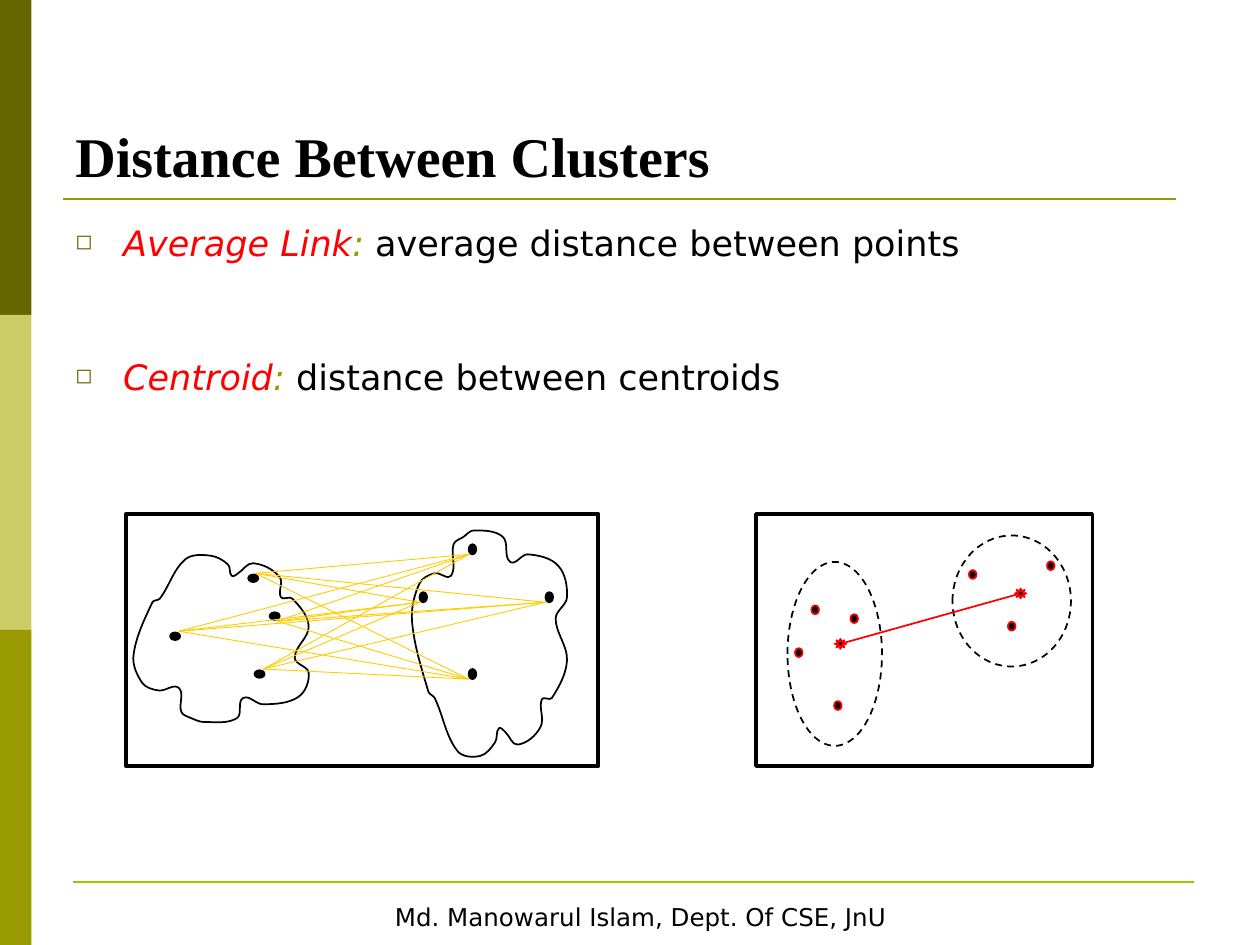
import itertools
import math

import pptx
import pptx.dml.color
import pptx.enum.dml
import pptx.enum.shapes
import pptx.enum.text
import pptx.oxml
import pptx.oxml.ns
import pptx.util
from pptx.util import Inches

SHAPE = pptx.enum.shapes.MSO_SHAPE
ANCHOR = pptx.enum.text.MSO_ANCHOR
qn = pptx.oxml.ns.qn
COLORS = {
    "black": "000000", "white": "FFFFFF", "red": "FF0000", "yellow": "FFCC00",
    "dark olive": "666600", "pale olive": "CCCC66", "olive": "999900",
    "green": "96C800",
}

# Knots that each cluster outline passes through, in hundredths of an inch.
LEFT_KNOTS = [
    (121, 478), (106, 520), (113, 542), (126, 548), (142, 546), (144, 565),
    (152, 570), (162, 573), (188, 570), (193, 554), (209, 559), (237, 553),
    (245, 534), (234, 522), (245, 497), (232, 475), (223, 474), (222, 458),
    (201, 447), (189, 455), (184, 457), (181, 448), (167, 441), (147, 444), (127, 475),
]
RIGHT_KNOTS = [
    (340, 549), (327, 493), (333, 463), (345, 455), (358, 457), (360, 432),
    (368, 426), (376, 421), (399, 426), (405, 446), (419, 440), (443, 449),
    (450, 474), (441, 491), (450, 524), (438, 554), (430, 555), (429, 577),
    (411, 591), (401, 581), (396, 578), (393, 589), (381, 600), (363, 596), (345, 554),
]


def rgb(color):
    return pptx.dml.color.RGBColor.from_string(COLORS[color])


def style(shape, fill=None, line=None, width=1.0):
    shape.shadow.inherit = False
    if fill:
        shape.fill.solid()
        shape.fill.fore_color.rgb = rgb(fill)
    else:
        shape.fill.background()
    if line:
        shape.line.color.rgb = rgb(line)
        shape.line.width = pptx.util.Pt(width)
    else:
        shape.line.fill.background()
    return shape


def add_preset(slide, kind, box, **look):
    return style(slide.shapes.add_shape(kind, *map(Inches, box)), **look)


def add_centered(slide, kind, centers, size, **look):
    """Add one shape of the same size and look around each center."""
    width, height = size
    for x, y in centers:
        add_preset(slide, kind, (x - width / 2, y - height / 2, width, height), **look)


def add_line(slide, start, end, color, width):
    line = slide.shapes.add_connector(
        pptx.enum.shapes.MSO_CONNECTOR.STRAIGHT, *map(Inches, (*start, *end)))
    line.line.color.rgb = rgb(color)
    line.line.width = pptx.util.Pt(width)
    properties = line._element.spPr
    properties.append(properties.makeelement(qn("a:effectLst"), {}))


def smooth_curve(knots):
    """Return two handles and an end point for each span of a closed curve.

    The tangent at a knot is parallel to the chord between its neighbours;
    each handle is a third as long as its span.
    """
    count = len(knots)
    tangents = []
    for i in range(count):
        (x0, y0), (x1, y1) = knots[i - 1], knots[(i + 1) % count]
        chord = math.dist((x0, y0), (x1, y1))
        tangents.append(((x1 - x0) / chord, (y1 - y0) / chord))
    points = []
    for i in range(count):
        following = (i + 1) % count
        (x0, y0), (x1, y1) = knots[i], knots[following]
        (u0, v0), (u1, v1) = tangents[i], tangents[following]
        reach = math.dist(knots[i], knots[following]) / 3
        points += [(x0 + reach * u0, y0 + reach * v0),
                   (x1 - reach * u1, y1 - reach * v1), (x1, y1)]
    return points


def add_cluster_outline(slide, knots):
    """Draw a smooth closed outline: straight segments regrouped as Bezier curves."""
    start, *curve_points = [(Inches(x / 100), Inches(y / 100))
                            for x, y in [knots[0], *smooth_curve(knots)]]
    builder = slide.shapes.build_freeform(*start)
    builder.add_line_segments(curve_points, close=True)
    outline = style(builder.convert_to_shape(), line="black")
    segments = list(outline._element.iter(qn("a:lnTo")))
    for first in range(0, len(segments), 3):
        curve = segments[first].makeelement(qn("a:cubicBezTo"), {})
        segments[first].addprevious(curve)
        for segment in segments[first:first + 3]:
            curve.append(segment[0])
            segment.getparent().remove(segment)


def add_text(slide, box, anchor):
    frame = slide.shapes.add_textbox(*map(Inches, box)).text_frame
    frame.word_wrap = True
    frame.vertical_anchor = anchor
    return frame


def set_font(font, name, size):
    font.name = name
    font.size = pptx.util.Pt(size)
    font.color.rgb = rgb("black")


def write_definition(paragraph, term, meaning, gap):
    properties = paragraph._p.get_or_add_pPr()
    properties.set("marL", str(Inches(0.38)))
    properties.set("indent", str(-Inches(0.38)))
    paragraph.line_spacing = 0.9
    paragraph.space_before = pptx.util.Pt(gap)
    ns = pptx.oxml.ns.nsdecls("a")
    for bullet in (f'<a:buClr {ns}><a:srgbClr val="{COLORS["dark olive"]}"/></a:buClr>',
                   f'<a:buSzPct {ns} val="60000"/>', f'<a:buChar {ns} char="◻"/>'):
        properties.append(pptx.oxml.parse_xml(bullet))
    set_font(paragraph.font, "DejaVu Sans", 20)
    for text, color, italic in ((term, "red", True), (": ", "olive", True),
                                (meaning, "black", False)):
        run = paragraph.add_run()
        run.text = text
        run.font.italic = italic
        run.font.color.rgb = rgb(color)


def add_page_frame(slide):
    for row, color in enumerate(("dark olive", "pale olive", "olive")):
        add_preset(slide, SHAPE.RECTANGLE, (0, 2.5 * row, 0.25, 2.5), fill=color)
    add_line(slide, (0.5, 1.58), (9.33, 1.58), "olive", 1.5)
    add_line(slide, (0.58, 7), (9.48, 7), "green", 1.5)
    footer = add_preset(slide, SHAPE.RECTANGLE, (0.5, 7.1, 9.17, 0.35),
                        fill="white", line="white", width=2).text_frame
    footer.word_wrap = False
    author = footer.paragraphs[0]
    author.text = "Md. Manowarul Islam, Dept. Of CSE, JnU"
    author.alignment = pptx.enum.text.PP_ALIGN.CENTER
    set_font(author.font, "DejaVu Sans", 14)


def add_centroid_diagram(slide):
    points = ((6.47, 4.84), (6.78, 4.91), (6.65, 5.6), (6.34, 5.18),
              (8.03, 4.97), (7.72, 4.56), (8.34, 4.49))
    centroids = ((6.67, 5.11), (8.1, 4.71))
    clusters = ((6.25, 4.46, 0.75, 1.46), (7.56, 4.25, 0.94, 1.04))
    add_centered(slide, SHAPE.OVAL, points, (0.06, 0.07), fill="black", line="red")
    for cluster in clusters:
        ring = add_preset(slide, SHAPE.OVAL, cluster, line="black")
        ring.line.dash_style = pptx.enum.dml.MSO_LINE.DASH
    add_line(slide, *centroids, "red", 1)
    add_centered(slide, SHAPE.SUN, centroids, (0.09, 0.08), fill="black", line="red")
    add_preset(slide, SHAPE.RECTANGLE, (6, 4.08, 2.67, 2), line="black", width=2)


def add_average_link_diagram(slide):
    """Link every point of the left cluster to every point of the right one."""
    left_points = ((2.06, 5.35), (2.01, 4.59), (1.39, 5.05), (2.18, 4.89))
    right_points = ((4.36, 4.74), (3.36, 4.74), (3.75, 5.35), (3.75, 4.36))
    for knots, points, size in ((LEFT_KNOTS, left_points, (0.08, 0.06)),
                                (RIGHT_KNOTS, right_points, (0.06, 0.08))):
        add_cluster_outline(slide, knots)
        add_centered(slide, SHAPE.OVAL, points, size, fill="black", line="black")
    link_starts = ((2.09, 5.31), (2.03, 4.55), (1.42, 5.01), (2.2, 4.93))
    link_ends = [(x - 0.03, y + 0.04) for x, y in right_points]
    for start, end in itertools.product(link_starts, link_ends):
        add_line(slide, start, end, "yellow", 0.5)
    add_preset(slide, SHAPE.RECTANGLE, (1, 4.08, 3.75, 2), line="black", width=2.25)


def main():
    deck = pptx.Presentation()
    deck.slide_width, deck.slide_height = Inches(10), Inches(7.5)
    slide = deck.slides.add_slide(deck.slide_layouts[6])
    add_page_frame(slide)

    title = add_text(slide, (0.5, 0.3, 9, 1.25), ANCHOR.BOTTOM).paragraphs[0]
    title.text = "Distance Between Clusters"
    set_font(title.font, "Times New Roman", 32)
    title.font.bold = True

    body = add_text(slide, (0.5, 1.75, 9, 4.95), ANCHOR.TOP)
    write_definition(body.paragraphs[0], "Average Link", "average distance between points", 0)
    write_definition(body.add_paragraph(), "Centroid", "distance between centroids", 55)

    add_centroid_diagram(slide)
    add_average_link_diagram(slide)
    deck.save("out.pptx")


if __name__ == "__main__":
    main()
